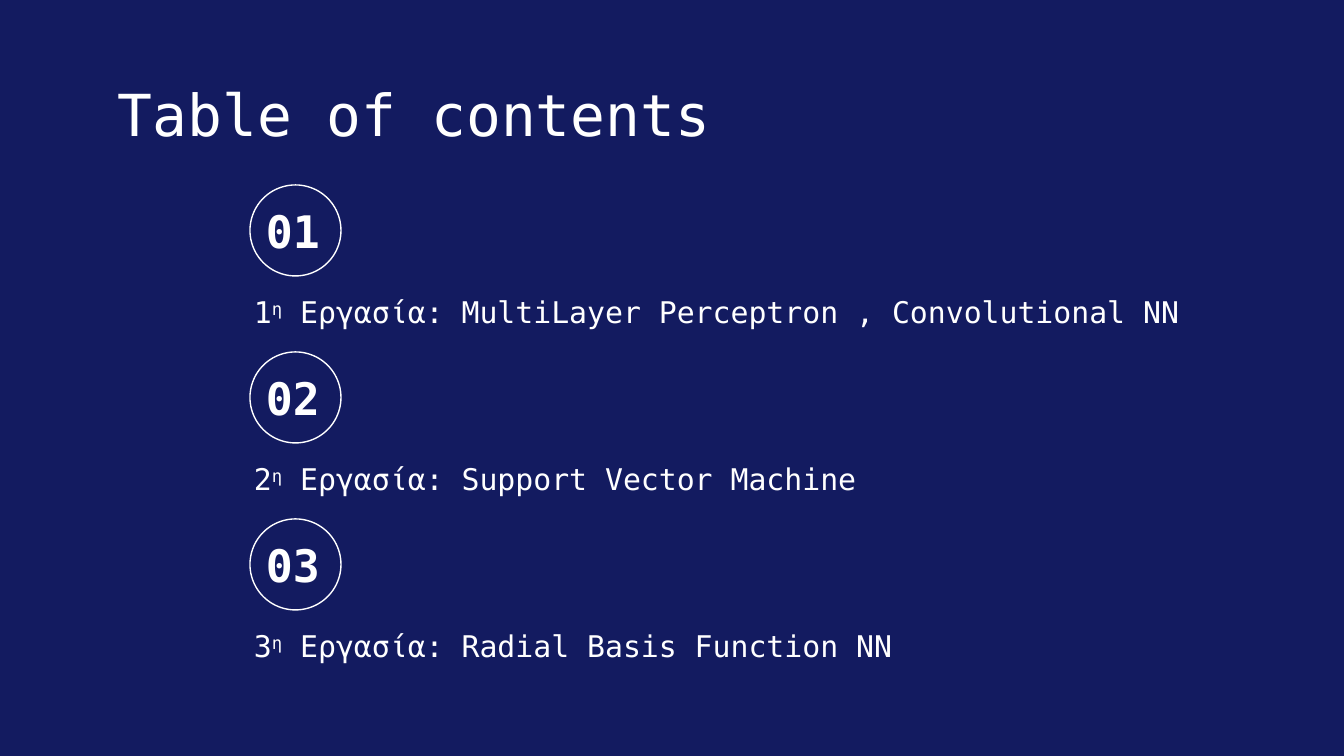
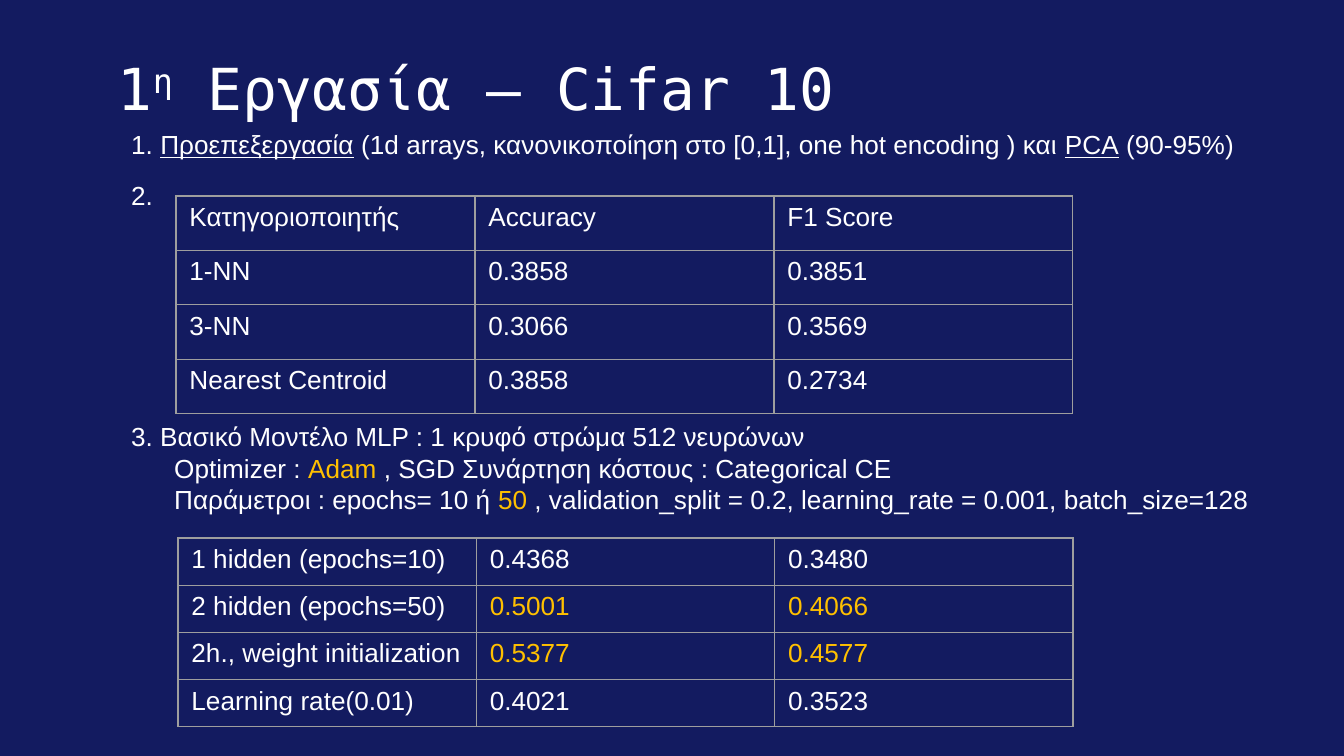
from lxml.etree import SubElement
from pptx import Presentation
from pptx.dml.color import RGBColor
from pptx.enum.shapes import MSO_SHAPE
from pptx.enum.text import MSO_ANCHOR, MSO_AUTO_SIZE, PP_ALIGN
from pptx.oxml.ns import qn
from pptx.util import Emu, Pt

PX_PER_INCH = 134.4
NAVY, WHITE, AMBER, GREY = "131B60", "FFFFFF", "FFC000", "9E9E9E"
MONO, SANS = "DejaVu Sans Mono", "Arial"
INSET = 13
ITEM_STEP = 167
DETAIL_INDENT = 43

RAISED = {"raised": True}
UNDERLINED = {"underline": True}
ACCENT = {"color": AMBER}

CONTENTS = [
    ("MultiLayer Perceptron , Convolutional NN", 999),
    ("Support Vector Machine", 828),
    ("Radial Basis Function NN", 797),
]
PREPROCESSING = [
    ("1. ", {}),
    ("Προεπεξεργασία", UNDERLINED),
    (" (1d arrays, κανονικοποίηση στο [0,1], one hot encoding ) και ", {}),
    ("PCA", UNDERLINED),
    (" (90-95%)", {}),
]
BASE_MODEL = [("3. Βασικό Μοντέλο MLP : 1 κρυφό στρώμα 512 νευρώνων", {})]
OPTIMIZER = [
    ("Optimizer : ", {}),
    ("Adam", ACCENT),
    (" , SGD Συνάρτηση κόστους : Categorical CE", {}),
]
PARAMETERS = [
    ("Παράμετροι : epochs= 10 ή ", {}),
    ("50", ACCENT),
    (" , validation_split = 0.2, learning_rate = 0.001, batch_size=128", {}),
]
CLASSIFIERS = [
    ["Κατηγοριοποιητής", "Accuracy", "F1 Score"],
    ["1-NN", "0.3858", "0.3851"],
    ["3-ΝΝ", "0.3066", "0.3569"],
    ["Nearest Centroid", "0.3858", "0.2734"],
]
NETWORKS = [
    ["1 hidden (epochs=10)", "0.4368", "0.3480"],
    ["2 hidden (epochs=50)", "0.5001", "0.4066"],
    ["2h., weight initialization", "0.5377", "0.4577"],
    ["Learning rate(0.01)", "0.4021", "0.3523"],
]
BEST_SCORES = {"0.5001", "0.4066", "0.5377", "0.4577"}


def px(length):
    """Turn a length in px into EMU."""
    return Emu(round(length * 914400 / PX_PER_INCH))


def rgb(value):
    """Turn a hex string into a colour."""
    return RGBColor.from_string(value)


def add_span(para, text, font, size, color=WHITE, bold=False, underline=False, raised=False):
    """Add one formatted run to a paragraph."""
    span = para.add_run()
    span.text = text
    span.font.name = font
    span.font.size = Pt(size)
    span.font.bold = bold
    span.font.underline = underline
    span.font.color.rgb = rgb(color)
    if raised:
        span._r.get_or_add_rPr().set("baseline", "30000")


def fill_para(para, spans, font, size, indent=0):
    """Write a list of (text, style) spans into a paragraph."""
    para.alignment = PP_ALIGN.LEFT
    if indent:
        para._p.get_or_add_pPr().set("marL", str(px(indent)))
    for text, style in spans:
        add_span(para, text, font, size, **style)


def add_title(page, top, spans):
    """Place the title placeholder and write its text."""
    title = page.shapes.title
    title.left, title.top, title.width, title.height = map(px, (105, top, 1134, 85))
    frame = title.text_frame
    frame.auto_size = MSO_AUTO_SIZE.NONE
    frame.word_wrap = True
    frame.vertical_anchor = MSO_ANCHOR.TOP
    frame.margin_left = frame.margin_right = px(INSET)
    frame.margin_top = frame.margin_bottom = px(INSET)
    fill_para(frame.paragraphs[0], spans, MONO, 31)


def add_circle(page, left, top, size):
    """Draw an outlined circle."""
    circle = page.shapes.add_shape(MSO_SHAPE.OVAL, *map(px, (left, top, size, size)))
    circle.shadow.inherit = False
    circle.fill.background()
    circle.line.color.rgb = rgb(WHITE)
    circle.line.width = Pt(0.75)


def add_label(page, place, spans, size):
    """Add a one-line monospaced label that rests on the bottom of its box."""
    frame = page.shapes.add_textbox(*map(px, place)).text_frame
    frame.word_wrap = True
    frame.vertical_anchor = MSO_ANCHOR.BOTTOM
    frame.margin_left = frame.margin_right = frame.margin_top = px(INSET)
    frame.margin_bottom = 0
    fill_para(frame.paragraphs[0], spans, MONO, size)


def add_note(page, place, first, details=(), wrap=False):
    """Add a note with a first line and indented detail lines."""
    frame = page.shapes.add_textbox(*map(px, place)).text_frame
    frame.word_wrap = wrap
    frame.auto_size = MSO_AUTO_SIZE.SHAPE_TO_FIT_TEXT
    fill_para(frame.paragraphs[0], first, SANS, 14)
    for spans in details:
        fill_para(frame.add_paragraph(), spans, SANS, 14, DETAIL_INDENT)


def add_borders(cell):
    """Draw thin grey lines on the four sides of a cell."""
    properties = cell._tc.get_or_add_tcPr()
    for index, side in enumerate(("lnL", "lnR", "lnT", "lnB")):
        line = SubElement(properties, qn(f"a:{side}"), w=str(Pt(0.75)))
        fill = SubElement(line, qn("a:solidFill"))
        SubElement(fill, qn("a:srgbClr"), val=GREY)
        properties.insert(index, line)


def add_score_table(page, place, rows):
    """Add a table of scores with the best ones in amber."""
    table = page.shapes.add_table(len(rows), len(rows[0]), *map(px, place)).table
    table.first_row = table.horz_banding = False
    for row, texts in enumerate(rows):
        for column, text in enumerate(texts):
            cell = table.cell(row, column)
            cell.fill.background()
            add_borders(cell)
            style = ACCENT if text in BEST_SCORES else {}
            fill_para(cell.text_frame.paragraphs[0], [(text, style)], SANS, 14)


def build_contents(page):
    """Build the table of contents."""
    add_title(page, 66, [("Table of contents", {})])
    for index, (topic, width) in enumerate(CONTENTS):
        offset = index * ITEM_STEP
        number = index + 1
        add_circle(page, 250, 185 + offset, 91)
        add_label(page, (253, 198 + offset, 91, 59), [(f"{number:02}", {"bold": True})], 24)
        spans = [(str(number), {}), ("η", RAISED), (f" Εργασία: {topic}", {})]
        add_label(page, (241, 286 + offset, width, 44), spans, 16)


def build_first_assignment(page):
    """Build the results of the first assignment."""
    add_title(page, 40, [("1", {}), ("η", RAISED), (" Εργασία – Cifar 10", {})])
    add_note(page, (118, 122, 1137, 46), PREPROCESSING)
    add_note(page, (118, 173, 56, 46), [("2.", {})])
    add_score_table(page, (176, 196, 897, 218), CLASSIFIERS)
    add_note(page, (118, 414, 1179, 109), BASE_MODEL, (OPTIMIZER, PARAMETERS), wrap=True)
    add_score_table(page, (178, 538, 895, 189), NETWORKS)


def main():
    """Build and save the deck."""
    deck = Presentation()
    deck.slide_width, deck.slide_height = px(1344), px(756)
    background = deck.slide_master.background.fill
    background.solid()
    background.fore_color.rgb = rgb(NAVY)
    title_only = deck.slide_layouts[5]
    for build in (build_contents, build_first_assignment):
        build(deck.slides.add_slide(title_only))
    deck.save("out.pptx")


if __name__ == "__main__":
    main()
